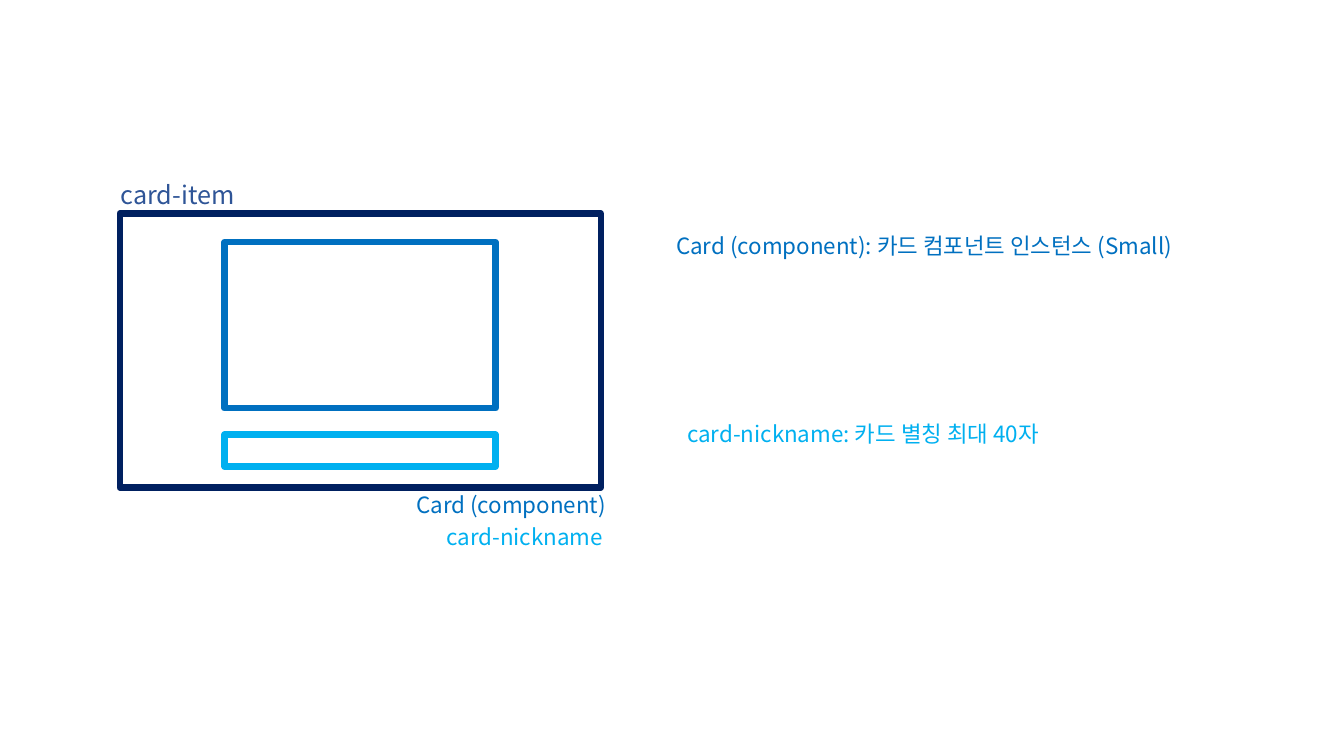
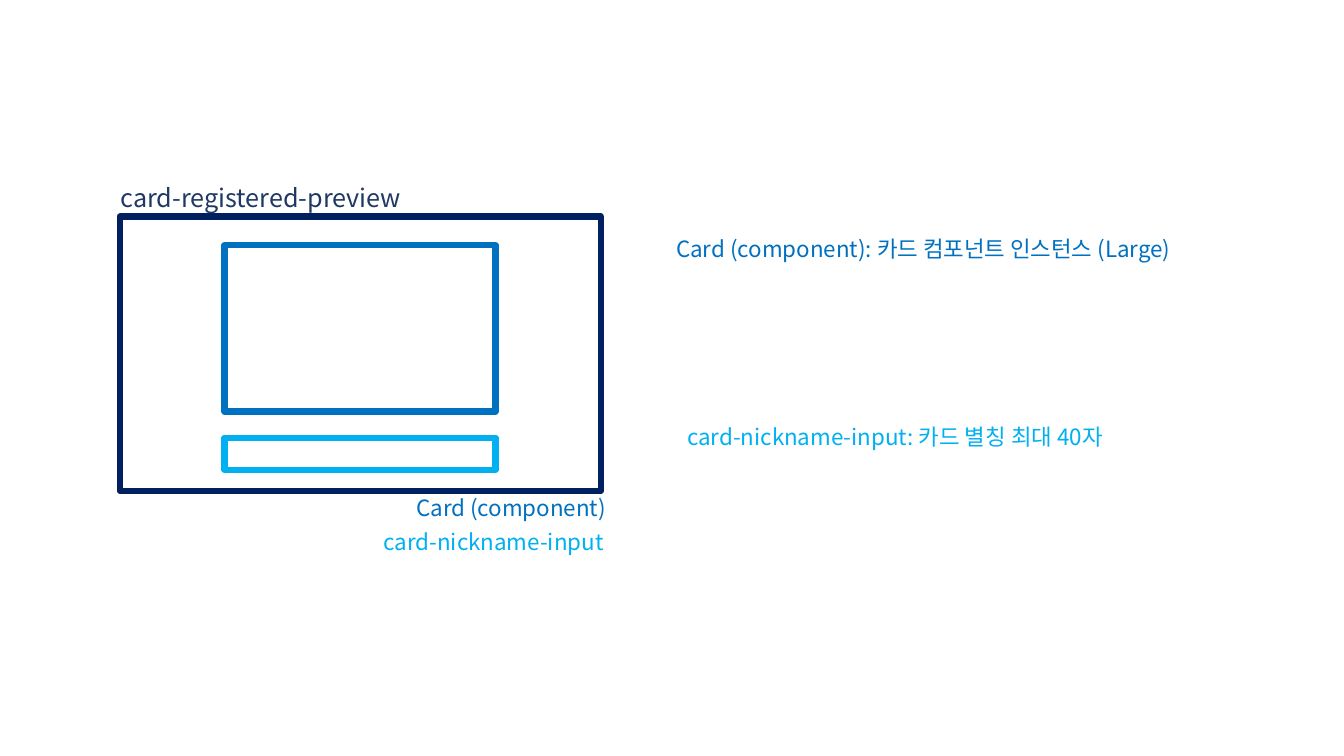
import pptx
import pptx.dml.color
import pptx.enum.shapes
import pptx.oxml
import pptx.oxml.ns
import pptx.util
from dataclasses import dataclass

Cm = pptx.util.Cm


@dataclass(frozen=True)
class Theme:
    font: str = "Noto Sans CJK KR"
    frame: str = "002060"
    card: str = "0070C0"
    nickname: str = "00B0F0"
    item_title: str = "2F5597"
    preview_title: str = "203864"
    title_size: int = 18
    label_size: int = 16
    outline: float = 4.5


THEME = Theme()

SLIDES = [
    {
        "title": ("card-item", THEME.item_title, 3.63),
        "nickname": ("card-nickname", 11, 13.06, 5.23),
        "card_size": "Small",
        "shift": 0,
        "grouped": True,
    },
    {
        "title": ("card-registered-preview", THEME.preview_title, 12.12),
        "nickname": ("card-nickname-input", 9.42, 13.1, 6.15),
        "card_size": "Large",
        "shift": 0.08,
        "grouped": False,
    },
]

OUTLINES = [
    (THEME.frame, 3.02, 5.38, 12.12, 6.91),
    (THEME.card, 5.66, 6.1, 6.83, 4.19),
    (THEME.nickname, 5.66, 10.95, 6.83, 0.81),
]


def add_outline(shapes, color, left, top, width, height):
    box = shapes.add_shape(
        pptx.enum.shapes.MSO_SHAPE.RECTANGLE,
        Cm(left), Cm(top), Cm(width), Cm(height))
    box.shadow.inherit = False
    box.fill.background()
    box.line.color.rgb = pptx.dml.color.RGBColor.from_string(color)
    box.line.width = pptx.util.Pt(THEME.outline)


def add_label(page, text, color, left, top, width, size=THEME.label_size):
    height = 1.03 if size == THEME.title_size else 0.93
    box = page.shapes.add_textbox(Cm(left), Cm(top), Cm(width), Cm(height))
    box.text_frame.word_wrap = True
    para = box.text_frame.paragraphs[0]
    para.text = text
    para.font.size = pptx.util.Pt(size)
    para.font.color.rgb = pptx.dml.color.RGBColor.from_string(color)
    para.font.name = THEME.font
    latin = para._p.find(".//" + pptx.oxml.ns.qn("a:latin"))
    east_asian = pptx.oxml.parse_xml(
        f'<a:ea {pptx.oxml.ns.nsdecls("a")} typeface="{THEME.font}"/>')
    latin.addnext(east_asian)


def build_page(deck, content):
    page = deck.slides.add_slide(deck.slide_layouts[6])
    shift = content["shift"]
    shapes = page.shapes.add_group_shape().shapes if content["grouped"] else page.shapes
    for color, left, top, width, height in OUTLINES:
        add_outline(shapes, color, left, top + shift, width, height)

    title, title_color, title_width = content["title"]
    name, name_left, name_top, name_width = content["nickname"]
    card_note = f"Card (component): 카드 컴포넌트 인스턴스 ({content['card_size']})"
    labels = [
        (title, title_color, 2.79, 4.39, title_width, THEME.title_size),
        ("Card (component)", THEME.card, 10.24, 12.24, 5.79),
        (name, THEME.nickname, name_left, name_top, name_width),
        (card_note, THEME.card, 16.79, 5.72, 16.18),
        (f"{name}: 카드 별칭 최대 40자", THEME.nickname, 17.07, 10.46, 11.81),
    ]
    for text, color, left, top, *rest in labels:
        add_label(page, text, color, left, top + shift, *rest)


def main():
    deck = pptx.Presentation()
    deck.slide_width, deck.slide_height = Cm(33.87), Cm(19.05)
    for content in SLIDES:
        build_page(deck, content)
    deck.save("out.pptx")


if __name__ == "__main__":
    main()
